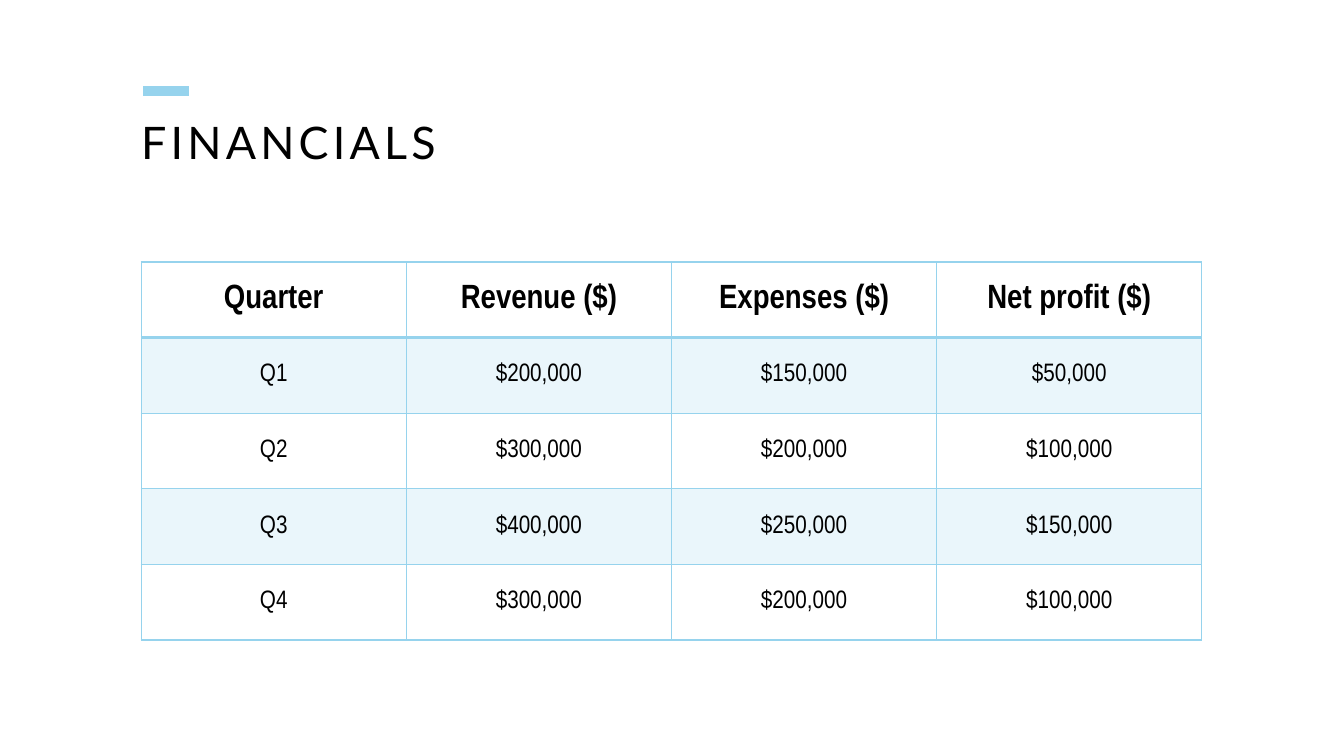
from dataclasses import dataclass

from lxml import etree
from pptx import Presentation
from pptx.dml.color import RGBColor
from pptx.enum.shapes import MSO_CONNECTOR
from pptx.enum.text import MSO_ANCHOR, PP_ALIGN
from pptx.oxml.ns import qn
from pptx.util import Inches, Pt

STRAIGHT = MSO_CONNECTOR.STRAIGHT
TOP, MIDDLE = MSO_ANCHOR.TOP, MSO_ANCHOR.MIDDLE
CENTER = PP_ALIGN.CENTER


@dataclass(frozen=True)
class Theme:
    accent: str = "96D3ED"
    text: str = "000000"
    title_font: str = "Lato"
    table_font: str = "Arial Narrow"
    title_size: int = 32
    header_size: int = 24
    body_size: int = 18
    title_tracking: int = 3
    band_opacity: int = 20
    accent_width: float = 7
    border_width: float = 1
    header_rule_width: float = 2


class SlideBuilder:
    """Holds the theme and the current slide."""

    def __init__(self, slide, theme):
        self.slide = slide
        self.theme = theme

    def style_text(self, paragraph, font_name, size, bold=False):
        for run in paragraph.runs:
            run.font.name = font_name
            run.font.size = Pt(size)
            run.font.bold = bold
            run.font.color.rgb = RGBColor.from_string(self.theme.text)

    def accent_line(self, left, top, length):
        line = self.slide.shapes.add_connector(
            STRAIGHT, Inches(left), Inches(top), Inches(left + length), Inches(top))
        line.line.color.rgb = RGBColor.from_string(self.theme.accent)
        line.line.width = Pt(self.theme.accent_width)
        etree.SubElement(line._element.spPr, qn("a:effectLst"))

    def title(self, text, left, top, width, height):
        box = self.slide.shapes.add_textbox(
            Inches(left), Inches(top), Inches(width), Inches(height))
        frame = box.text_frame
        frame.word_wrap = True
        frame.vertical_anchor = TOP
        frame.margin_left = frame.margin_right = 0
        frame.margin_top = frame.margin_bottom = 0
        frame.text = text
        paragraph = frame.paragraphs[0]
        paragraph.line_spacing = 0.9
        self.style_text(paragraph, self.theme.title_font, self.theme.title_size)
        for run in paragraph.runs:
            run.font._element.set("spc", str(self.theme.title_tracking * 100))

    def cell_borders(self, cell, widths):
        """Draw the borders; widths are left, right, top and bottom in points."""
        properties = cell._tc.get_or_add_tcPr()
        for index, (side, width) in enumerate(zip("LRTB", widths)):
            border = etree.Element(qn(f"a:ln{side}"), w=str(Pt(width)))
            fill = etree.SubElement(border, qn("a:solidFill"))
            etree.SubElement(fill, qn("a:srgbClr"), val=self.theme.accent)
            properties.insert(index, border)

    def cell_fill(self, cell, banded):
        if not banded:
            cell.fill.background()
            return
        cell.fill.solid()
        cell.fill.fore_color.rgb = RGBColor.from_string(self.theme.accent)
        color = cell._tc.tcPr.find(".//" + qn("a:srgbClr"))
        etree.SubElement(color, qn("a:alpha"), val=str(self.theme.band_opacity * 1000))

    def table(self, rows, left, top, column_width, row_height):
        theme = self.theme
        column_count = len(rows[0])
        table = self.slide.shapes.add_table(
            len(rows), column_count, Inches(left), Inches(top),
            Inches(column_width * column_count), Inches(row_height * len(rows))).table
        for column in table.columns:
            column.width = Inches(column_width)
        for row_index, values in enumerate(rows):
            table.rows[row_index].height = Inches(row_height)
            header = row_index == 0
            top_width = theme.header_rule_width if row_index == 1 else theme.border_width
            bottom_width = theme.header_rule_width if header else theme.border_width
            for column_index, value in enumerate(values):
                cell = table.cell(row_index, column_index)
                cell.text_frame.text = value
                cell.vertical_anchor = MIDDLE
                paragraph = cell.text_frame.paragraphs[0]
                paragraph.alignment = CENTER
                size = theme.header_size if header else theme.body_size
                self.style_text(paragraph, theme.table_font, size, bold=header)
                self.cell_fill(cell, banded=row_index % 2 == 1)
                self.cell_borders(
                    cell, (theme.border_width, theme.border_width, top_width, bottom_width))


FINANCIALS = [
    ("Quarter", "Revenue ($)", "Expenses ($)", "Net profit ($)"),
    ("Q1", "$200,000", "$150,000", "$50,000"),
    ("Q2", "$300,000", "$200,000", "$100,000"),
    ("Q3", "$400,000", "$250,000", "$150,000"),
    ("Q4", "$300,000", "$200,000", "$100,000"),
]


def main():
    presentation = Presentation()
    presentation.slide_width = Inches(13.33)
    presentation.slide_height = Inches(7.5)
    slide = presentation.slides.add_slide(presentation.slide_layouts[6])
    builder = SlideBuilder(slide, Theme())

    # Heading
    builder.accent_line(left=1.42, top=0.9, length=0.45)
    builder.title("FINANCIALS", left=1.4, top=1.2, width=10.5, height=1)

    # Quarterly figures
    builder.table(FINANCIALS, left=1.4, top=2.6, column_width=2.63, row_height=0.75)

    presentation.save("out.pptx")


if __name__ == "__main__":
    main()
